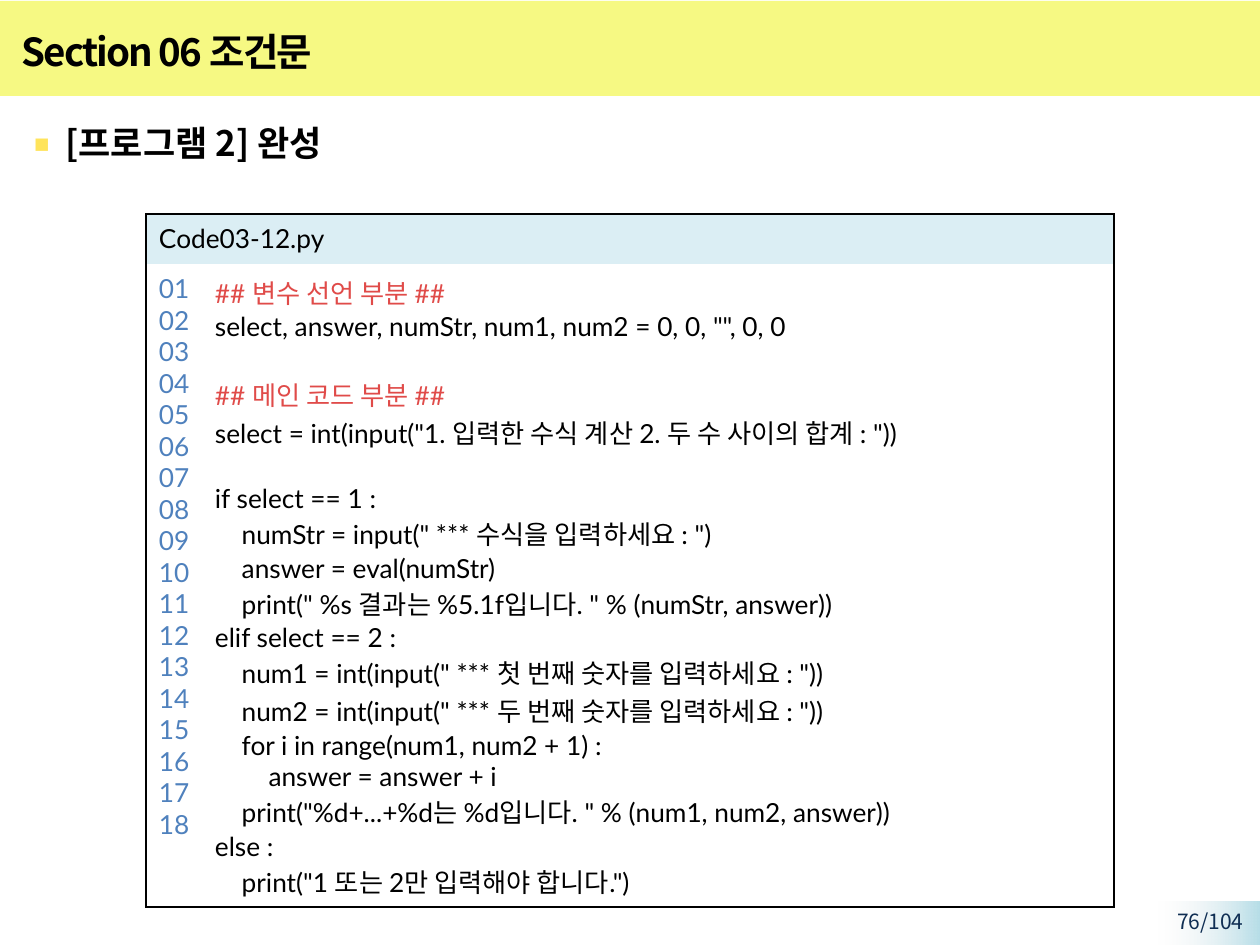
from lxml import etree
from pptx import Presentation
from pptx.dml.color import RGBColor
from pptx.enum.shapes import MSO_SHAPE as Shape
from pptx.enum.text import MSO_ANCHOR as Anchor, PP_ALIGN as Align
from pptx.oxml.ns import qn
from pptx.util import Pt

PX = 914400 / 126
HANGUL_FONT = "Noto Sans CJK KR"
CODE_FONT = "Lato"
COLORS = {
    "band": "F6F983", "corner": "B7DEE8", "fade": "F2F2F2", "page": "0F2E53",
    "text": "000000", "bullet": "FFE45B", "header": "DBEEF4",
    "number": "4F81BD", "comment": "E04B49",
}
CODE = '''## 변수 선언 부분 ##
select, answer, numStr, num1, num2 = 0, 0, "", 0, 0

## 메인 코드 부분 ##
select = int(input("1. 입력한 수식 계산 2. 두 수 사이의 합계 : "))

if select == 1 :
    numStr = input(" *** 수식을 입력하세요 : ")
    answer = eval(numStr)
    print(" %s 결과는 %5.1f입니다. " % (numStr, answer))
elif select == 2 :
    num1 = int(input(" *** 첫 번째 숫자를 입력하세요 : "))
    num2 = int(input(" *** 두 번째 숫자를 입력하세요 : "))
    for i in range(num1, num2 + 1) :
        answer = answer + i
    print("%d+...+%d는 %d입니다. " % (num1, num2, answer))
else :
    print("1 또는 2만 입력해야 합니다.")'''.split("\n")


def px(*lengths):
    return [round(length * PX) for length in lengths]


def write_lines(frame, lines, size, font, color, bold=False):
    """Write one paragraph per line; lines starting with ## get the comment colour."""
    for index, line in enumerate(lines):
        paragraph = frame.paragraphs[0] if index == 0 else frame.add_paragraph()
        if not line:
            etree.SubElement(paragraph._p, qn("a:endParaRPr"), sz=str(size * 100))
            continue
        run = paragraph.add_run()
        run.text = line
        run.font.size = Pt(size)
        run.font.bold = bold
        run.font.name = font
        name = "comment" if line.startswith("##") else color
        run.font.color.rgb = RGBColor.from_string(COLORS[name])
        etree.SubElement(run._r.rPr, qn("a:ea"), typeface=HANGUL_FONT)


presentation = Presentation()
presentation.slide_width, presentation.slide_height = px(1260, 945)
slide = presentation.slides.add_slide(presentation.slide_layouts[6])

# Title band and page corner
band = slide.shapes.add_shape(Shape.RECTANGLE, *px(0, 1, 1260, 95))
band.fill.solid()
band.fill.fore_color.rgb = RGBColor.from_string(COLORS["band"])
corner = slide.shapes.add_shape(Shape.RECTANGLE, *px(1159, 902, 101, 47))
corner.fill.gradient()
corner.fill.gradient_angle = 180
for stop, name in zip(corner.fill.gradient_stops, ("corner", "fade")):
    stop.color.rgb = RGBColor.from_string(COLORS[name])
fade = corner._element.spPr.findall(".//" + qn("a:srgbClr"))[-1]
etree.SubElement(fade, qn("a:alpha"), val="0")
for shape in (band, corner):
    shape.line.fill.background()
    shape.shadow.inherit = False

# Title, heading and page number
texts = {}
for key, box, line, size, color, bold in (
    ("page", (1140, 902, 116, 29), "76/104", 12, "page", False),
    ("title", (9, 18, 1072, 66), "Section 06 조건문", 22, "text", True),
    ("heading", (9, 107, 1235, 781), "[프로그램 2] 완성", 20, "text", True),
):
    frame = slide.shapes.add_textbox(*px(*box)).text_frame
    frame.word_wrap = True
    write_lines(frame, [line], size, HANGUL_FONT, color, bold)
    texts[key] = frame

texts["page"].paragraphs[0].alignment = Align.RIGHT
texts["title"].vertical_anchor = Anchor.MIDDLE
texts["title"].paragraphs[0].runs[0]._r.rPr.set("spc", "-100")

texts["heading"].margin_left = 0
heading = texts["heading"].paragraphs[0]
properties = heading._p.get_or_add_pPr()
margin, indent = px(53, -42)
properties.set("marL", str(margin))
properties.set("indent", str(indent))
bullet_color = etree.SubElement(properties, qn("a:buClr"))
etree.SubElement(bullet_color, qn("a:srgbClr"), val=COLORS["bullet"])
etree.SubElement(properties, qn("a:buSzPct"), val="130000")
etree.SubElement(properties, qn("a:buFont"), typeface=HANGUL_FONT)
etree.SubElement(properties, qn("a:buChar"), char="▪")
heading.line_spacing = 1.2

# Code listing
table = slide.shapes.add_table(2, 2, *px(146, 214, 968, 693)).table
table.first_row = table.horz_banding = False
for column, width in zip(table.columns, px(56, 912)):
    column.width = width
for row, height in zip(table.rows, px(50, 643)):
    row.height = height
table.cell(0, 0).merge(table.cell(0, 1))

numbers = [f"{number:02d}" for number in range(1, len(CODE) + 1)]
for row, column, lines, color, fill, borders in (
    (0, 0, ["Code03-12.py"], "text", "header", "LRT"),
    (0, 1, [], "text", "header", "RT"),
    (1, 0, numbers, "number", None, "LB"),
    (1, 1, CODE, "text", None, "RB"),
):
    cell = table.cell(row, column)
    cell.margin_left, cell.margin_right, cell.margin_top, cell.margin_bottom = px(13, 12, 9, 9)
    write_lines(cell.text_frame, lines, 15, CODE_FONT, color)
    cell_properties = cell._tc.get_or_add_tcPr()
    for side in "LRTB":
        border = etree.SubElement(cell_properties, qn(f"a:ln{side}"), w=str(Pt(1)))
        if side in borders:
            solid = etree.SubElement(border, qn("a:solidFill"))
            etree.SubElement(solid, qn("a:srgbClr"), val=COLORS["text"])
        else:
            etree.SubElement(border, qn("a:noFill"))
    if fill:
        cell.fill.solid()
        cell.fill.fore_color.rgb = RGBColor.from_string(COLORS[fill])
    else:
        cell.fill.background()

presentation.save("out.pptx")
